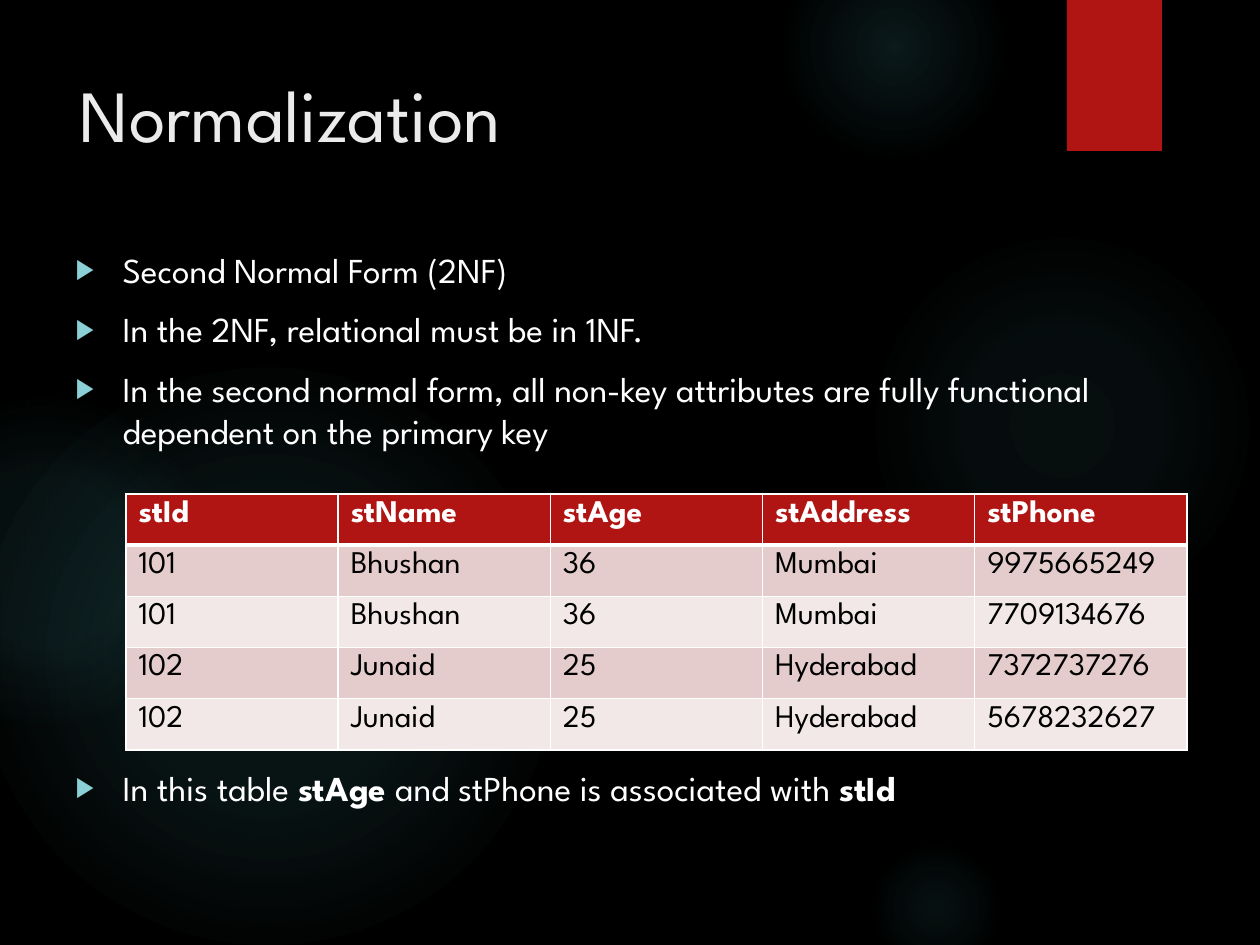
from lxml.etree import SubElement
from pptx import Presentation
from pptx.dml.color import RGBColor
from pptx.enum.shapes import MSO_SHAPE as Shape
from pptx.enum.text import MSO_ANCHOR as Anchor, MSO_AUTO_SIZE as AutoSize, PP_ALIGN as Align
from pptx.oxml.ns import qn
from pptx.util import Emu, Pt

EMU_PER_PX = 914400 / 126
FONT = "League Spartan"
BLACK = RGBColor(0x00, 0x00, 0x00)
WHITE = RGBColor(0xFF, 0xFF, 0xFF)
TITLE_GREY = RGBColor(0xEB, 0xEB, 0xEB)
RED = RGBColor(0xB0, 0x15, 0x13)
GLOW = RGBColor(0x50, 0xB9, 0xC1)
BULLET = RGBColor(0x8A, 0xD0, 0xD6)
BANDS = (RGBColor(0xE4, 0xCC, 0xCC), RGBColor(0xF2, 0xE8, 0xE7))

GLOWS = [
    (868, 231, 388, ((0, 7), (36, 6), (69, 0))),
    (784, -63, 220, ((0, 14), (36, 7), (73, 0))),
    (868, 840, 136, ((0, 9), (36, 5), (66, 0))),
    (-21, 368, 577, ((0, 11), (36, 10), (75, 0))),
    (-116, 399, 325, ((0, 8), (36, 8), (72, 0))),
]
BULLETS = [
    (["Second Normal Form (2NF)"], 10),
    (["In the 2NF, relational must be in 1NF."], 10),
    (["In the second normal form, all non-key attributes are fully functional "
      "dependent on the primary key"], 10),
    (["In this table ", "stAge", " and stPhone is associated with ", "stId"], 180),
]
STUDENTS = [
    ("stId", "stName", "stAge", "stAddress", "stPhone"),
    ("101", "Bhushan", "36", "Mumbai", "9975665249"),
    ("101", "Bhushan", "36", "Mumbai", "7709134676"),
    ("102", "Junaid", "25", "Hyderabad", "7372737276"),
    ("102", "Junaid", "25", "Hyderabad", "5678232627"),
]


def px(length):
    return Emu(round(length * EMU_PER_PX))


def add(parent, tag, **attributes):
    return SubElement(parent, qn(tag), {key: str(value) for key, value in attributes.items()})


def set_font(paragraph, size, color, bold=None):
    font = paragraph.font
    font.name, font.size, font.bold = FONT, Pt(size), bold
    font.color.rgb = color


def add_plain(slide, kind, left, top, width, height):
    shape = slide.shapes.add_shape(kind, px(left), px(top), px(width), px(height))
    shape.shadow.inherit = False
    shape.line.fill.background()
    return shape


def add_glow(slide, left, top, size, stops):
    glow = add_plain(slide, Shape.OVAL, left, top, size, size)
    glow.fill.gradient()
    gradient = glow.fill._xPr.find(qn("a:gradFill"))
    for child in list(gradient):
        gradient.remove(child)
    stop_list = add(gradient, "a:gsLst")
    for position, opacity in stops:
        stop = add(stop_list, "a:gs", pos=position * 1000)
        add(add(stop, "a:srgbClr", val=GLOW), "a:alpha", val=opacity * 1000)
    circle = add(gradient, "a:path", path="circle")
    add(circle, "a:fillToRect", l=50000, t=50000, r=50000, b=50000)


def add_ribbon(slide):
    ribbon = add_plain(slide, Shape.RECTANGLE, 1067, 0, 95, 151)
    ribbon.fill.solid()
    ribbon.fill.fore_color.rgb = RED


def place(slide, placeholder, left, top, width, height):
    slide.shapes._spTree.append(placeholder._element)
    placeholder.left, placeholder.top = px(left), px(top)
    placeholder.width, placeholder.height = px(width), px(height)
    frame = placeholder.text_frame
    frame.word_wrap = True
    frame.auto_size = AutoSize.NONE
    frame.vertical_anchor = Anchor.TOP
    return frame


def write_title(slide, text):
    frame = place(slide, slide.shapes.title, 67, 63, 973, 193)
    frame.text = text
    heading = frame.paragraphs[0]
    heading.alignment = Align.LEFT
    set_font(heading, 42, TITLE_GREY)


def write_bullets(slide, bullets):
    frame = place(slide, slide.placeholders[1], 63, 242, 1134, 651)
    for index, (parts, space_before) in enumerate(bullets):
        item = frame.add_paragraph() if index else frame.paragraphs[0]
        item.space_before = Pt(space_before)
        properties = item._p.get_or_add_pPr()
        properties.set("marL", str(px(47)))
        properties.set("indent", str(px(-47)))
        add(add(properties, "a:buClr"), "a:srgbClr", val=BULLET)
        add(properties, "a:buSzPct", val=80000)
        add(properties, "a:buChar", char="▶")
        set_font(item, 20, WHITE)
        for position, part in enumerate(parts):
            run = item.add_run()
            run.text = part
            if position % 2:
                run.font.bold = True


def set_borders(cell, top, bottom):
    properties = cell._tc.get_or_add_tcPr()
    for side, weight in (("L", 1), ("R", 1), ("T", top), ("B", bottom)):
        line = add(properties, f"a:ln{side}", w=Pt(weight))
        add(add(line, "a:solidFill"), "a:srgbClr", val=WHITE)


def add_student_table(slide, rows):
    table = slide.shapes.add_table(
        len(rows), len(rows[0]), px(126), px(494), px(1061), px(256)).table
    for row, values in enumerate(rows):
        header = row == 0
        for column, value in enumerate(values):
            cell = table.cell(row, column)
            set_borders(cell, 3 if row == 1 else 1, 3 if header else 1)
            cell.fill.solid()
            cell.fill.fore_color.rgb = RED if header else BANDS[(row - 1) % 2]
            cell.text = value
            set_font(cell.text_frame.paragraphs[0], 18, WHITE if header else BLACK, header)


def main():
    deck = Presentation()
    deck.slide_width, deck.slide_height = px(1260), px(945)
    slide = deck.slides.add_slide(deck.slide_layouts[1])
    slide.background.fill.solid()
    slide.background.fill.fore_color.rgb = BLACK
    for glow in GLOWS:
        add_glow(slide, *glow)
    add_ribbon(slide)
    write_title(slide, "Normalization")
    write_bullets(slide, BULLETS)
    add_student_table(slide, STUDENTS)
    deck.save("out.pptx")


if __name__ == "__main__":
    main()
